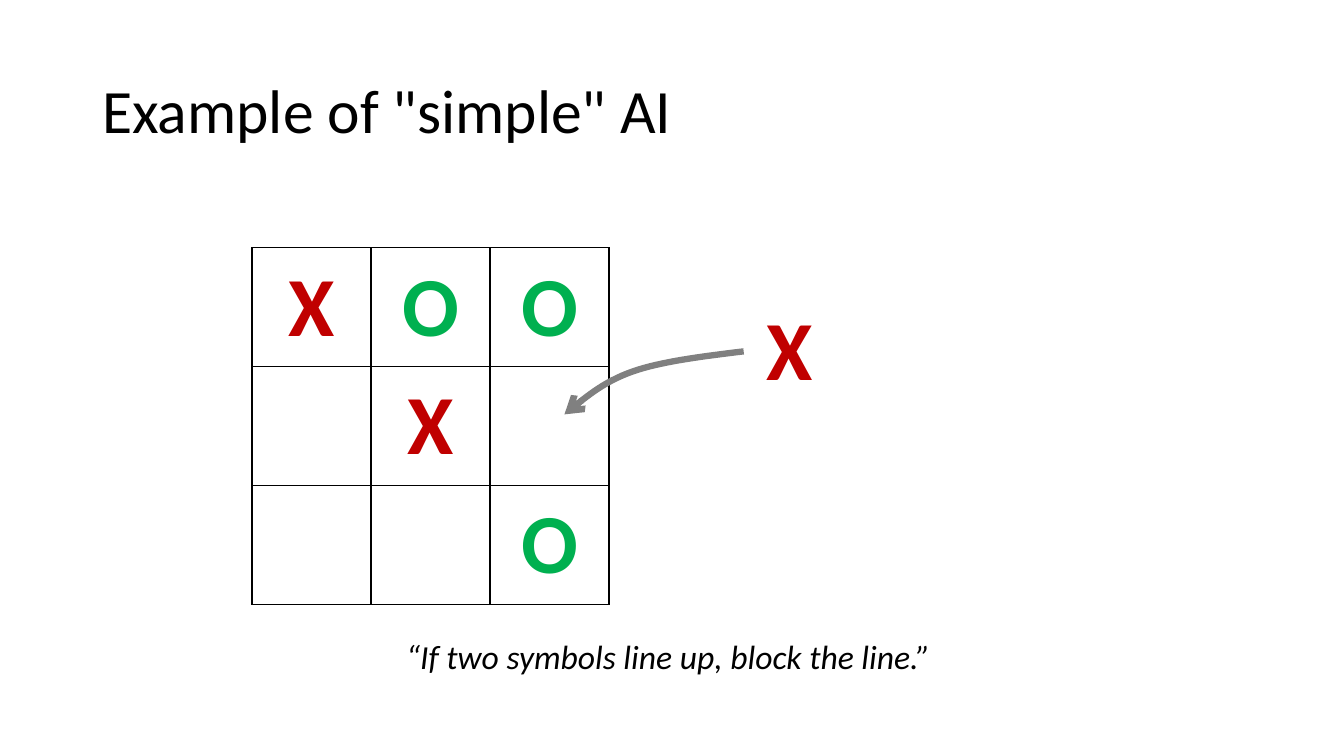
from lxml import etree
from pptx import Presentation
from pptx.dml.color import RGBColor
from pptx.enum.text import MSO_ANCHOR, PP_ALIGN
from pptx.oxml.ns import qn
from pptx.util import Pt

MIDDLE = MSO_ANCHOR.MIDDLE
TOP = MSO_ANCHOR.TOP
CENTER = PP_ALIGN.CENTER
FONT = "Calibri"
COLORS = {"text": "000000", "X": "C00000", "O": "00B050", "arrow": "808080", "grid": "000000"}
BOARD = ["XOO", " X ", "  O"]
MARK_SIZE = 60
CURVE_STEPS = 16


def format_run(paragraph, size, color, bold=False, italic=False):
    font = paragraph.runs[0].font
    font.name, font.size = FONT, Pt(size)
    font.bold, font.italic = bold, italic
    font.color.rgb = RGBColor.from_string(COLORS[color])


def add_text(slide, box, text, size, color, anchor=TOP, wrap=False, **style):
    text_frame = slide.shapes.add_textbox(*map(Pt, box)).text_frame
    text_frame.text = text
    text_frame.word_wrap = wrap
    text_frame.vertical_anchor = anchor
    format_run(text_frame.paragraphs[0], size, color, **style)
    return text_frame


def add_title(slide, box, text):
    text_frame = add_text(slide, box, text, 44, "text", anchor=MIDDLE, wrap=True)
    text_frame.paragraphs[0].line_spacing = 0.9


def add_cell_borders(cell):
    properties = cell._tc.get_or_add_tcPr()
    for side in ("lnL", "lnR", "lnT", "lnB"):
        line = etree.SubElement(properties, qn(f"a:{side}"), w=str(Pt(1)))
        fill = etree.SubElement(line, qn("a:solidFill"))
        etree.SubElement(fill, qn("a:srgbClr"), val=COLORS["grid"])


def add_board(slide, box):
    """Draw the game grid with its marks."""
    size = len(BOARD)
    table = slide.shapes.add_table(size, size, *map(Pt, box)).table
    table.first_row = table.horz_banding = False
    for index in range(size):
        table.columns[index].width = Pt(box[2] / size)
        table.rows[index].height = Pt(box[3] / size)
    for row, marks in enumerate(BOARD):
        for column, mark in enumerate(marks):
            cell = table.cell(row, column)
            add_cell_borders(cell)
            cell.fill.background()
            cell.vertical_anchor = MIDDLE
            if mark != " ":
                cell.text = mark
                paragraph = cell.text_frame.paragraphs[0]
                paragraph.alignment = CENTER
                format_run(paragraph, MARK_SIZE, mark, bold=True)


def curve_points(start, control_1, control_2, end):
    """Return points along a cubic curve, without its start."""
    points = []
    for step in range(1, CURVE_STEPS + 1):
        t = step / CURVE_STEPS
        weights = ((1 - t) ** 3, 3 * t * (1 - t) ** 2, 3 * t * t * (1 - t), t ** 3)
        points.append(tuple(
            Pt(sum(weight * value for weight, value in zip(weights, values)))
            for values in zip(start, control_1, control_2, end)
        ))
    return points


def add_move_arrow(slide, box):
    """Draw the curved arrow from the top right to the bottom left of the box."""
    left, top, width, height = box
    fractions = [(1, 0), (0.77, 0.08), (0.54, 0.16), (0.38, 0.32),
                 (0.21, 0.49), (0.11, 0.75), (0, 1)]
    knots = [(left + x * width, top + y * height) for x, y in fractions]
    builder = slide.shapes.build_freeform(Pt(knots[0][0]), Pt(knots[0][1]))
    builder.add_line_segments(curve_points(*knots[:4]) + curve_points(*knots[3:]), close=False)
    arrow = builder.convert_to_shape()
    arrow.shadow.inherit = False
    arrow.fill.background()
    arrow.line.width = Pt(4.5)
    arrow.line.color.rgb = RGBColor.from_string(COLORS["arrow"])
    line = arrow.line._get_or_add_ln()
    etree.SubElement(line, qn("a:round"))
    etree.SubElement(line, qn("a:tailEnd"), type="arrow")


def add_next_move(slide, box):
    """Place the mark to be played and its arrow."""
    left, top, width, height = box
    add_move_arrow(slide, (left, top + 43, 128, 45))
    add_text(slide, (left + width - 47.5, top, 47.5, height), "X", MARK_SIZE, "X", bold=True)


def main():
    presentation = Presentation()
    presentation.slide_width, presentation.slide_height = Pt(960), Pt(540)
    slide = presentation.slides.add_slide(presentation.slide_layouts[6])
    add_title(slide, (66, 29, 828, 104.4), 'Example of "simple" AI')
    add_board(slide, (180, 177, 255, 255))
    add_next_move(slide, (403.2, 208, 185, 80))
    add_text(slide, (283, 450.7, 394, 36), "“If two symbols line up, block the line.”",
             24, "text", italic=True)
    presentation.save("out.pptx")


if __name__ == "__main__":
    main()
